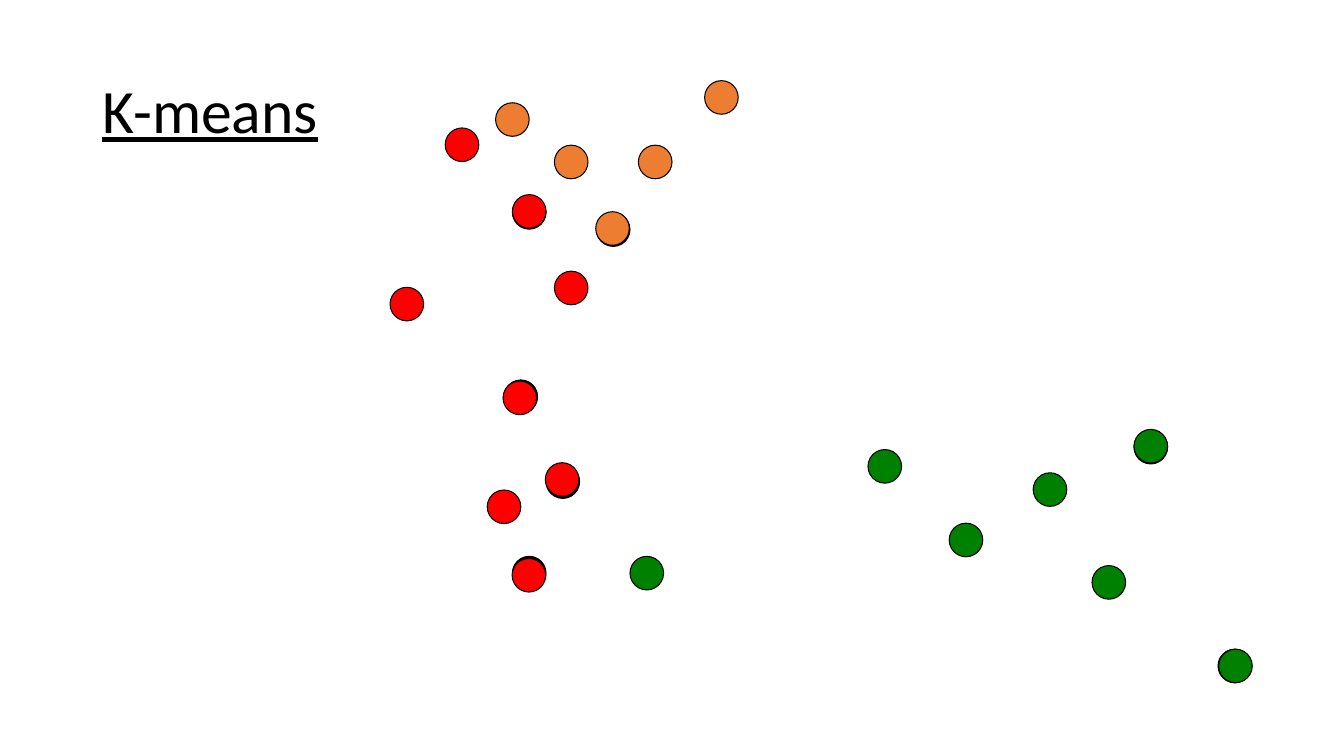
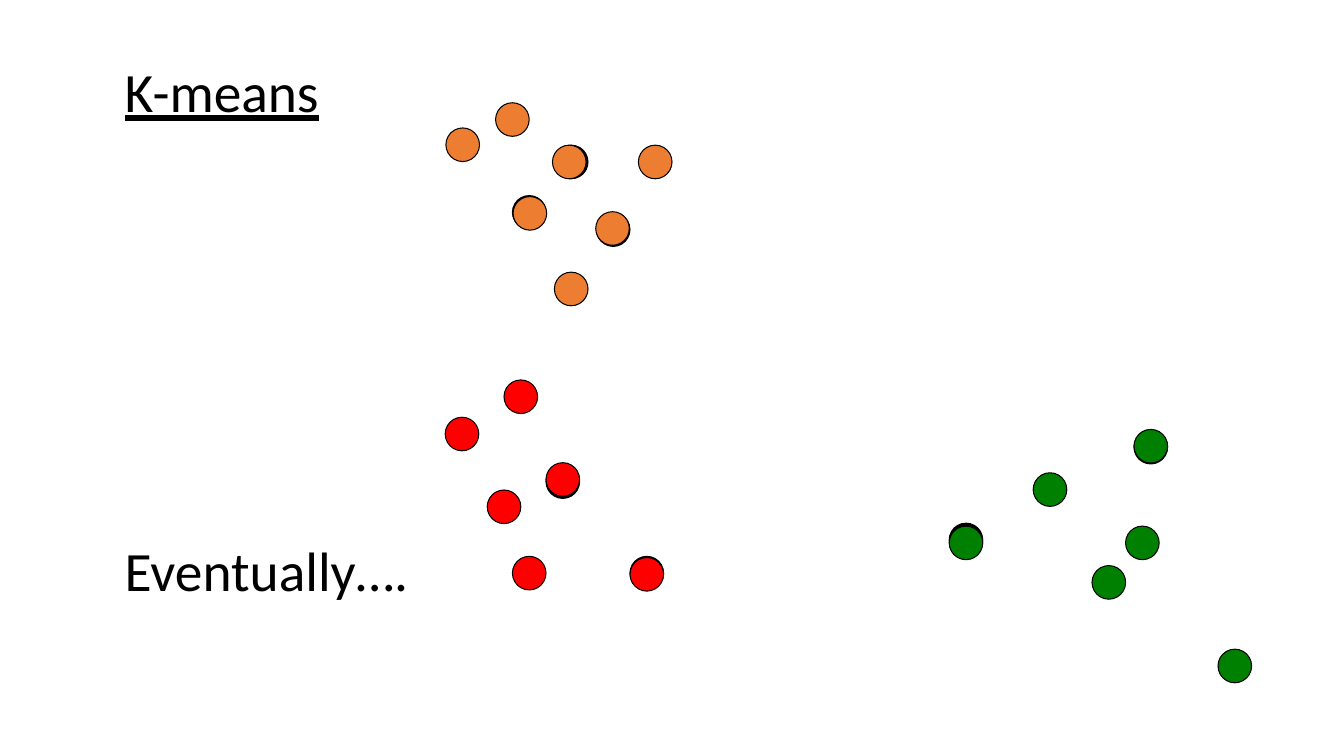
"""Build two slides that show how K-means clusters settle."""
from pptx import Presentation
from pptx import util as u
from pptx.dml import color
from pptx.enum import shapes, text

FONT = "Calibri"
BLACK, RED, ORANGE, GREEN = "000000", "FF0000", "ED7D31", "008000"
DOT_SIZE = 24
PLOT_LEFT, PLOT_TOP = 270, 50

FIXED_POINTS = {
    BLACK: [(120, 282), (96, 89.7), (156, 102), (540, 257.4)],
    RED: [(78, 300)],
    ORANGE: [(84, 23.4), (186, 53.7), (155.5, 101.2)],
    GREEN: [(540, 256.7), (468, 287.7), (510, 354)],
}
EARLY_POINTS = {
    BLACK: [(90, 221.4), (96, 347.4), (600, 413.7)],
    RED: [(8.6, 155.2), (89.3, 222.2), (126, 143.7), (119.5, 280.5),
          (95.8, 348.9), (96, 89), (48, 41.4)],
    ORANGE: [(233.3, 7.6), (126, 53.7)],
    GREEN: [(350, 271.1), (180, 347.4), (600.5, 413.7), (408, 323.7)],
}
FINAL_POINTS = {
    BLACK: [(180, 347.4), (126, 53.7), (408, 323.7)],
    RED: [(48, 248), (90, 221.4), (120, 280.5), (96, 347.4), (180, 348.2)],
    ORANGE: [(48.5, 41.4), (124.6, 53.7), (96.5, 90.4), (126, 144.4)],
    GREEN: [(534, 325.8), (600, 413.7), (408, 325.8)],
}


def rgb(value):
    """Return the colour for a hex string."""
    return color.RGBColor.from_string(value)


def add_label(page, left, top, words, size, underline=False):
    """Place one line of text, centred vertically in its box."""
    box = page.shapes.add_textbox(u.Pt(left), u.Pt(top), u.Pt(828), u.Pt(60))
    frame = box.text_frame
    frame.word_wrap = True
    frame.vertical_anchor = text.MSO_ANCHOR.MIDDLE
    para = frame.paragraphs[0]
    para.text = words
    para.line_spacing = 0.9
    font = para.font
    font.name, font.size, font.underline = FONT, u.Pt(size), underline
    font.color.rgb = rgb(BLACK)


def add_dot(page, left, top, fill):
    """Draw one outlined data point."""
    dot = page.shapes.add_shape(
        shapes.MSO_SHAPE.OVAL, u.Pt(left), u.Pt(top), u.Pt(DOT_SIZE), u.Pt(DOT_SIZE))
    dot.shadow.inherit = False
    dot.fill.solid()
    dot.fill.fore_color.rgb = rgb(fill)
    dot.line.color.rgb = rgb(BLACK)
    dot.line.width = u.Pt(0.75)


def add_scatter(page, left, top, own_points):
    """Draw the fixed and the slide's own points, one colour after another."""
    for fill, fixed in FIXED_POINTS.items():
        for across, down in fixed + own_points[fill]:
            add_dot(page, left + across, top + down, fill)


def add_page(deck, left, top, size, points):
    """Add a slide with the heading and its scatter."""
    page = deck.slides.add_slide(deck.slide_layouts[6])
    add_label(page, left, top, "K-means", size, underline=True)
    add_scatter(page, PLOT_LEFT, PLOT_TOP, points)
    return page


def main():
    """Build and save the deck."""
    deck = Presentation()
    deck.slide_width, deck.slide_height = u.Pt(960), u.Pt(540)
    add_page(deck, 66, 51, 44, EARLY_POINTS)
    final = add_page(deck, 82, 37.5, 39.6, FINAL_POINTS)
    add_label(final, 82, 379.5, "Eventually….", 39.6)
    deck.save("out.pptx")


if __name__ == "__main__":
    main()
